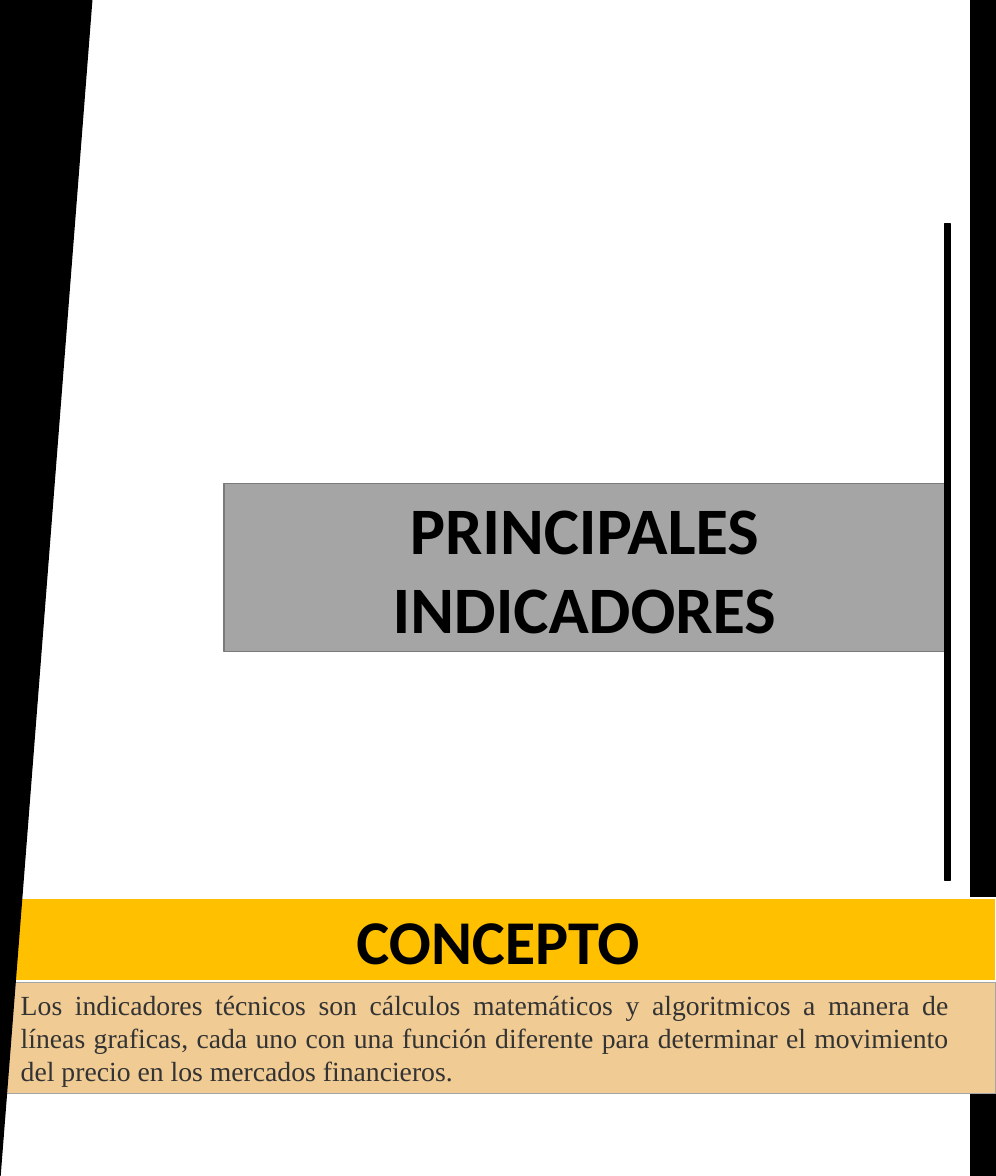
from pptx import Presentation
from pptx.dml.color import RGBColor
from pptx.enum.shapes import MSO_SHAPE as Shape
from pptx.enum.text import MSO_ANCHOR as Anchor, PP_ALIGN as Align
from pptx.util import Cm, Pt

PAGE_W, PAGE_H = 25.4, 30
COLORS = {
    "black": "000000", "white": "FFFFFF", "gray": "A5A5A5",
    "dark_gray": "7A7A7A", "gold": "FFC000", "sand": "F0CB94", "text": "333333",
}
HEADING = {"name": "Calibri", "bold": True}
BODY = {"name": "Times New Roman", "size": Pt(20)}


def color(name):
    return RGBColor.from_string(COLORS[name])


def add_block(page, box, fill, line, width=1, kind=Shape.RECTANGLE):
    block = page.shapes.add_shape(kind, *map(Cm, box))
    block.shadow.inherit = False
    block.fill.solid()
    block.fill.fore_color.rgb = color(fill)
    block.line.color.rgb = color(line)
    block.line.width = Pt(width)
    return block


def write(shape, text, align, anchor, ink, font, margins):
    frame = shape.text_frame
    frame.word_wrap = True
    frame.vertical_anchor = anchor
    side, edge = map(Cm, margins)
    frame.margin_left = frame.margin_right = side
    frame.margin_top = frame.margin_bottom = edge
    para = frame.paragraphs[0]
    para.alignment = align
    span = para.add_run()
    span.text = text
    span.font.color.rgb = color(ink)
    for key, value in font.items():
        setattr(span.font, key, value)


def add_heading(page, box, text, size, fill, line, width):
    block = add_block(page, box, fill, line, width)
    write(block, text, Align.CENTER, Anchor.MIDDLE, "black",
          {**HEADING, "size": Pt(size)}, (0.19, 0.1))


def add_right_bars(page, box):
    """Black page edge, with a thin rule to its left."""
    left, top, width, height = box
    add_block(page, (left + width - 0.64, top, 0.64, height), "black", "black")
    add_block(page, (left, top + 5.71, 0.13, 16.76), "black", "black")


def add_concept(page, box):
    """Gold heading band above the definition panel."""
    left, top, width, height = box
    add_heading(page, (left, top, width, 2.11), "CONCEPTO", 45, "gold", "white", 1.5)
    panel_top, panel_h = top + 2.16, height - 2.16
    add_block(page, (left, panel_top, width, panel_h), "sand", "gray")
    note = page.shapes.add_textbox(
        *map(Cm, (left + 0.28, panel_top, width - 1.22, panel_h)))
    write(note, "Los indicadores técnicos son cálculos matemáticos y algoritmicos "
          "a manera de líneas graficas, cada uno con una función diferente para "
          "determinar el movimiento del precio en los mercados financieros.",
          Align.JUSTIFY, Anchor.TOP, "text", BODY, (0.25, 0.13))


def add_left_wedge(page, box):
    """Wedge that narrows towards the bottom left corner."""
    wedge = add_block(page, box, "black", "black", kind=Shape.ISOSCELES_TRIANGLE)
    wedge.adjustments[0] = 1
    wedge.rotation = 180


def main():
    deck = Presentation()
    deck.slide_width, deck.slide_height = Cm(PAGE_W), Cm(PAGE_H)
    page = deck.slides.add_slide(deck.slide_layouts[6])
    page.background.fill.solid()
    page.background.fill.fore_color.rgb = color("white")

    add_heading(page, (5.71, 12.33, 18.39, 4.29), "PRINCIPALES INDICADORES",
                48, "gray", "dark_gray", 1)
    add_right_bars(page, (24.1, 0, 1.3, PAGE_H))
    add_concept(page, (0, 22.91, PAGE_W, 4.98))
    add_left_wedge(page, (0, 0, 2.34, PAGE_H))

    deck.save("out.pptx")


if __name__ == "__main__":
    main()
